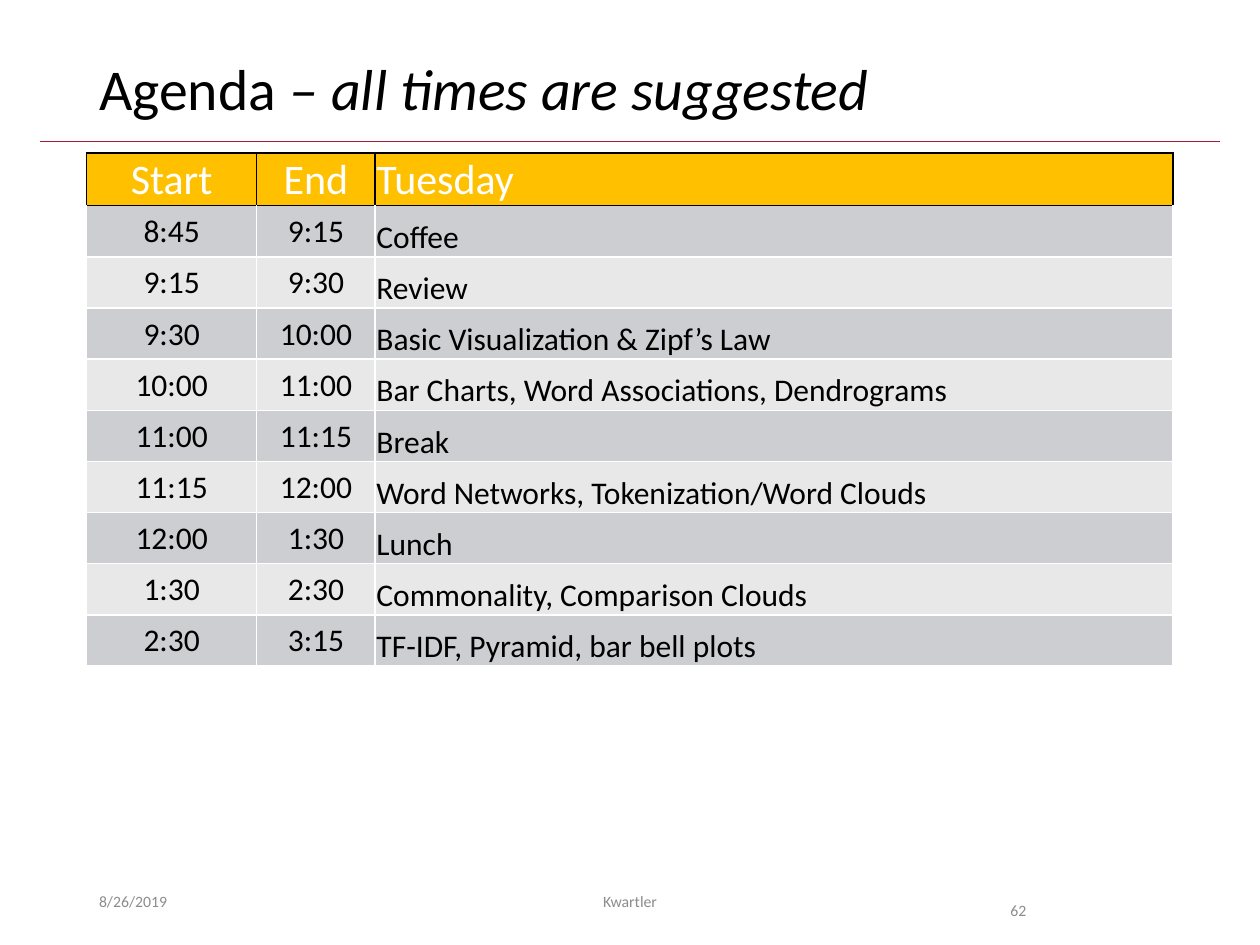
from lxml import etree
from pptx import Presentation
from pptx.dml.color import RGBColor
from pptx.enum.shapes import MSO_CONNECTOR
from pptx.enum.text import MSO_ANCHOR, PP_ALIGN
from pptx.oxml.ns import qn
from pptx.util import Pt

STRAIGHT = MSO_CONNECTOR.STRAIGHT
TOP, MIDDLE, BOTTOM = MSO_ANCHOR.TOP, MSO_ANCHOR.MIDDLE, MSO_ANCHOR.BOTTOM
LEFT, CENTER = PP_ALIGN.LEFT, PP_ALIGN.CENTER

BLACK = RGBColor(0x00, 0x00, 0x00)
WHITE = RGBColor(0xFF, 0xFF, 0xFF)
CRIMSON = RGBColor(0xA5, 0x1C, 0x30)
AMBER = RGBColor(0xFF, 0xC0, 0x00)
DARK_BAND = RGBColor(0xCD, 0xCE, 0xD1)
LIGHT_BAND = RGBColor(0xE8, 0xE8, 0xE9)
GREY = RGBColor(0x8C, 0x8C, 0x8C)

TITLE_BOX = (49.5, 28.8, 621, 46.8)
RULE = (23, 80.75, 697)
AGENDA_BOX = (49.5, 87.5, 620.7, 292.3)
FOOTER_BOX = (49.5, 500.5, 621, 28.75)

COLUMN_WIDTHS = (97.2, 67.7, 455.8)
AGENDA = (
    ("Start", "End", "Tuesday"),
    ("8:45", "9:15", "Coffee"),
    ("9:15", "9:30", "Review"),
    ("9:30", "10:00", "Basic Visualization & Zipf’s Law"),
    ("10:00", "11:00", "Bar Charts, Word Associations, Dendrograms"),
    ("11:00", "11:15", "Break"),
    ("11:15", "12:00", "Word Networks, Tokenization/Word Clouds"),
    ("12:00", "1:30", "Lunch"),
    ("1:30", "2:30", "Commonality, Comparison Clouds"),
    ("2:30", "3:15", "TF-IDF, Pyramid, bar bell plots"),
)


def apply(target, formats):
    for name, value in formats.items():
        setattr(target, name, value)


def add_run(paragraph, text, size, color, italic=None):
    run = paragraph.add_run()
    run.text = text
    apply(run.font, {"name": "Calibri", "size": Pt(size), "italic": italic})
    run.font.color.rgb = color


def add_title(slide, box):
    title = slide.shapes.title
    apply(title, dict(zip(("left", "top", "width", "height"), map(Pt, box))))
    apply(title.text_frame, {"vertical_anchor": MIDDLE, "word_wrap": True})
    heading = title.text_frame.paragraphs[0]
    apply(heading, {"alignment": LEFT, "line_spacing": 0.9})
    add_run(heading, "Agenda ", 33, BLACK)
    add_run(heading, "– all times are suggested", 33, BLACK, italic=True)


def add_rule(slide, left, y, right):
    rule = slide.shapes.add_connector(STRAIGHT, Pt(left), Pt(y), Pt(right), Pt(y))
    rule.line.color.rgb = CRIMSON
    rule.line.width = Pt(0.5)
    etree.SubElement(rule.line._get_or_add_ln().getparent(), qn("a:effectLst"))


def set_borders(cell, colors):
    """Draw 1 pt borders; colors are in the order left, right, top, bottom."""
    properties = cell._tc.get_or_add_tcPr()
    for side, color in zip(("a:lnL", "a:lnR", "a:lnT", "a:lnB"), colors):
        border = etree.SubElement(properties, qn(side), w=str(Pt(1)))
        fill = etree.SubElement(border, qn("a:solidFill"))
        etree.SubElement(fill, qn("a:srgbClr"), val=str(color))


def add_agenda(slide, box):
    left, top, width, height = map(Pt, box)
    table = slide.shapes.add_table(
        len(AGENDA), len(COLUMN_WIDTHS), left, top, width, height).table
    for column, column_width in zip(table.columns, COLUMN_WIDTHS):
        column.width = Pt(column_width)
    for row_index, entries in enumerate(AGENDA):
        table.rows[row_index].height = Pt(box[3] / len(AGENDA))
        is_header = row_index == 0
        if is_header:
            band, size, color = AMBER, 24, WHITE
            borders = [BLACK] * 4
        else:
            band = DARK_BAND if row_index % 2 else LIGHT_BAND
            size, color = 18, BLACK
            borders = [WHITE, WHITE, BLACK if row_index == 1 else WHITE, WHITE]
        for column_index, entry in enumerate(entries):
            is_topic = column_index == 2
            cell = table.cell(row_index, column_index)
            apply(cell, {
                "margin_left": Pt(0.75), "margin_right": Pt(0.75),
                "margin_top": Pt(0.75), "margin_bottom": 0,
                "vertical_anchor": BOTTOM if is_topic and not is_header else MIDDLE,
            })
            set_borders(cell, borders)
            cell.fill.solid()
            cell.fill.fore_color.rgb = band
            paragraph = cell.text_frame.paragraphs[0]
            paragraph.alignment = LEFT if is_topic else CENTER
            add_run(paragraph, entry, size, color)


def add_footer(slide, box):
    left, top, width, height = box
    parts = (
        ("8/26/2019", left, 162, MIDDLE, LEFT, 1),
        ("Kwartler", left + (width - 243) / 2, 243, MIDDLE, CENTER, 1),
        ("62", 570.25, 67.5, TOP, LEFT, 2),
    )
    for text, part_left, part_width, anchor, alignment, spacing in parts:
        part = slide.shapes.add_textbox(
            Pt(part_left), Pt(top), Pt(part_width), Pt(height))
        apply(part.text_frame, {"word_wrap": True, "vertical_anchor": anchor})
        paragraph = part.text_frame.paragraphs[0]
        apply(paragraph, {"alignment": alignment, "line_spacing": spacing})
        add_run(paragraph, text, 9, GREY)


def main():
    presentation = Presentation()
    apply(presentation, {"slide_width": Pt(720), "slide_height": Pt(540)})
    slide = presentation.slides.add_slide(presentation.slide_layouts[5])
    add_rule(slide, *RULE)
    add_title(slide, TITLE_BOX)
    add_agenda(slide, AGENDA_BOX)
    add_footer(slide, FOOTER_BOX)
    presentation.save("out.pptx")


if __name__ == "__main__":
    main()
